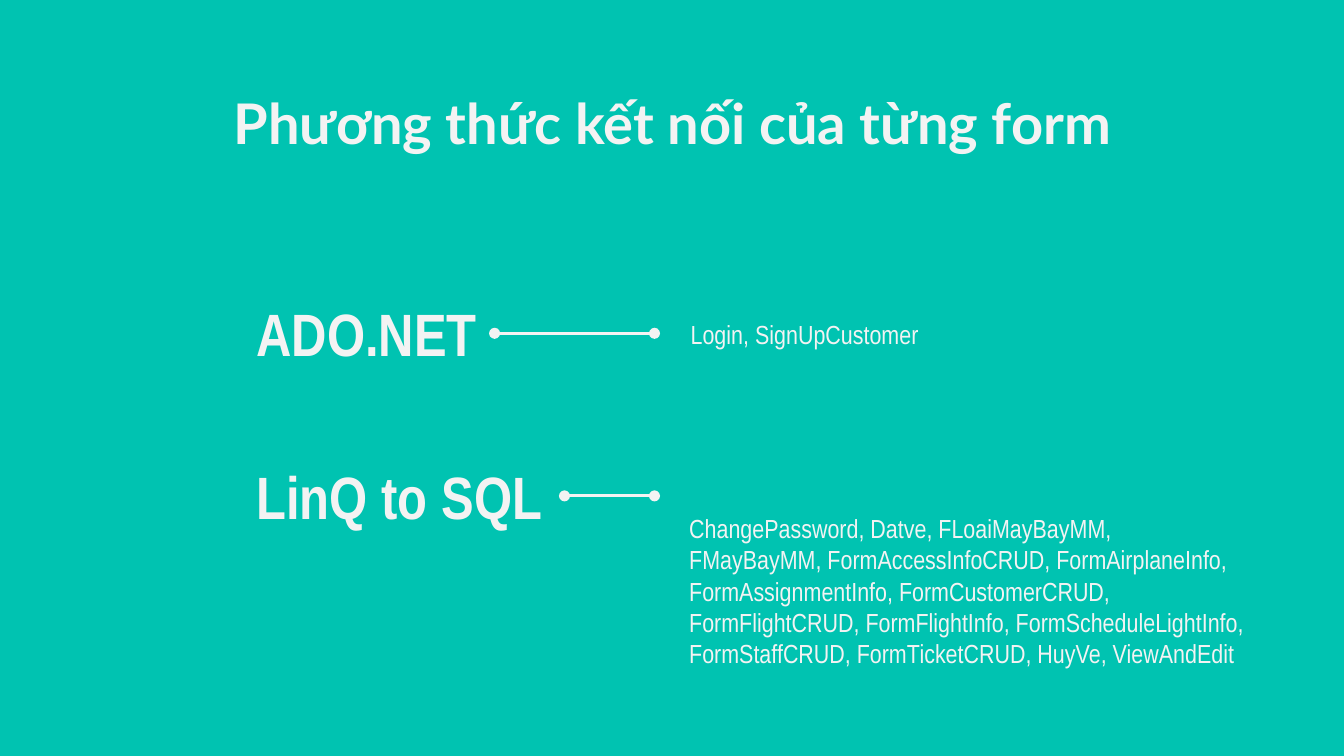
import pptx
import pptx.dml.color
import pptx.enum.shapes
import pptx.enum.text
import pptx.oxml.ns
import pptx.util
from lxml import etree

Inches = pptx.util.Inches
PP_ALIGN = pptx.enum.text.PP_ALIGN
MSO_ANCHOR = pptx.enum.text.MSO_ANCHOR
TEAL = "00C3B1"
LIGHT = "F3F3F3"
BODY_FONT = "Arial Narrow"
MARGIN = 0.5
HANGING = -0.33


def rgb(value):
    """Return the colour for a hex string."""
    return pptx.dml.color.RGBColor.from_string(value)


def add_text(slide, text, box, size, font=BODY_FONT, bold=False,
             margin=0, indent=0, align=PP_ALIGN.LEFT, anchor=MSO_ANCHOR.MIDDLE):
    """Add a one-paragraph text box at box (left, top, width, height)."""
    sp = slide.shapes.add_textbox(*[Inches(v) for v in box])
    tf = sp.text_frame
    tf.word_wrap = True
    tf.vertical_anchor = anchor
    tf.margin_left = tf.margin_right = Inches(0.1)
    tf.margin_top = tf.margin_bottom = Inches(0.1)
    p = tf.paragraphs[0]
    p.alignment = align
    pPr = p._p.get_or_add_pPr()
    pPr.set("marL", str(Inches(margin)))
    pPr.set("indent", str(Inches(indent)))
    r = p.add_run()
    r.text = text
    r.font.name = font
    r.font.size = pptx.util.Pt(size)
    r.font.bold = bold
    r.font.color.rgb = rgb(LIGHT)


def add_link(slide, left, right, y):
    """Add a horizontal line with a dot at each end."""
    line = slide.shapes.add_connector(
        pptx.enum.shapes.MSO_CONNECTOR.STRAIGHT,
        Inches(left), Inches(y), Inches(right), Inches(y))
    line.line.color.rgb = rgb(LIGHT)
    line.line.width = pptx.util.Pt(1.5)
    ln = line.line._get_or_add_ln()
    for end in ("a:headEnd", "a:tailEnd"):
        etree.SubElement(ln, pptx.oxml.ns.qn(end), type="oval")
    etree.SubElement(line._element.spPr, pptx.oxml.ns.qn("a:effectLst"))


def main():
    """Build and save the slide."""
    prs = pptx.Presentation()
    prs.slide_width = Inches(10)
    prs.slide_height = prs.slide_width * 9 // 16
    slide = prs.slides.add_slide(prs.slide_layouts[6])
    slide.background.fill.solid()
    slide.background.fill.fore_color.rgb = rgb(TEAL)

    add_text(slide, "Phương thức kết nối của từng form", (0.79, 0.56, 8.43, 0.63),
             30, "Lato", True, align=PP_ALIGN.CENTER, anchor=MSO_ANCHOR.TOP)

    methods = [("ADO.NET", 2.09, 2.42, 3.68, 2.48),
               ("LinQ to SQL", 3.3, 2.77, 4.2, 3.69)]
    for name, top, width, link_left, link_y in methods:
        add_text(slide, name, (1.64, top, width, 0.77), 32, bold=True,
                 margin=MARGIN, indent=HANGING)
        add_link(slide, link_left, 4.87, link_y)

    add_text(slide, "Login, SignUpCustomer", (4.87, 2.1, 2.42, 0.77), 14,
             margin=MARGIN, indent=HANGING)
    add_text(slide, "ChangePassword, Datve, FLoaiMayBayMM, FMayBayMM, "
             "FormAccessInfoCRUD, FormAirplaneInfo, FormAssignmentInfo, "
             "FormCustomerCRUD, FormFlightCRUD, FormFlightInfo, "
             "FormScheduleLightInfo, FormStaffCRUD, FormTicketCRUD, "
             "HuyVe, ViewAndEdit", (4.53, 3.39, 4.84, 2.01), 14, margin=MARGIN)

    prs.save("out.pptx")


if __name__ == "__main__":
    main()
